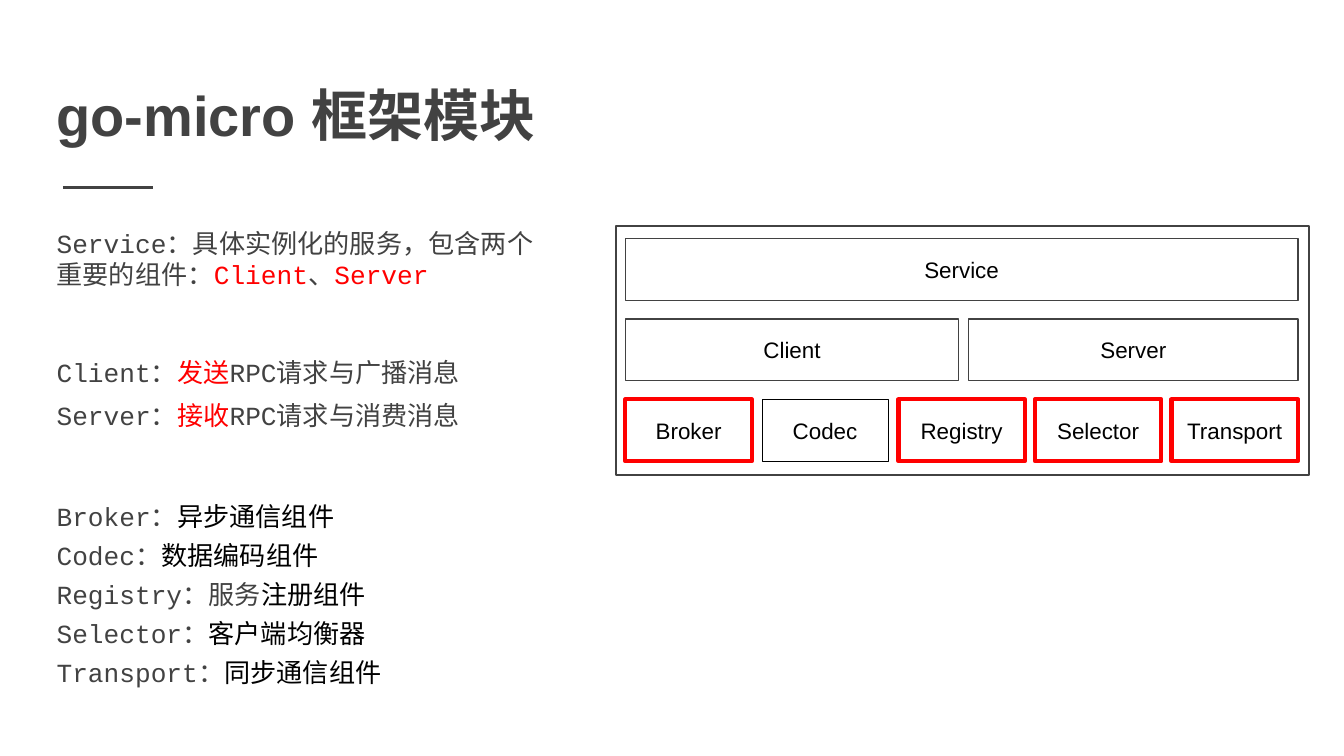
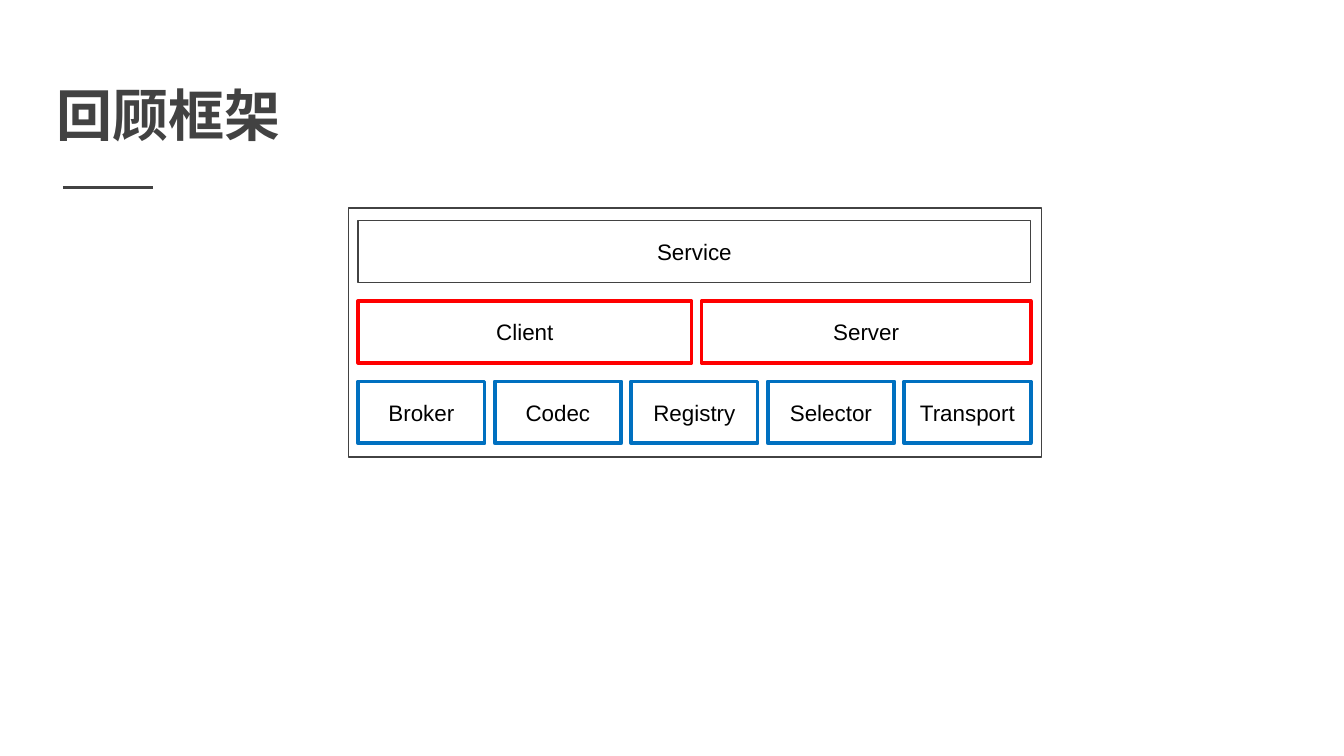
from dataclasses import dataclass

from lxml.etree import SubElement
from pptx import Presentation
from pptx.dml.color import RGBColor
from pptx.enum.shapes import MSO_CONNECTOR as Connector, MSO_SHAPE as Shape
from pptx.enum.text import MSO_ANCHOR as Anchor, MSO_AUTO_SIZE as AutoSize, PP_ALIGN as Align
from pptx.oxml.ns import qn
from pptx.util import Cm, Pt


@dataclass(frozen=True)
class Theme:
    ink: str = "424242"
    black: str = "000000"
    red: str = "FF0000"
    blue: str = "0070C0"
    sans: str = "Arial"
    mono: str = "Courier New"
    title_size: float = 30
    body_size: float = 14
    box_size: float = 12
    line_height: float = 16.6


THEME = Theme()
TITLE_LAYOUT, BODY_LAYOUT = 5, 1
LEFT = 1.07
GAP = 0.19
ROW_HEIGHT, ROW_PITCH = 1.17, 1.52
FRAME_SIZE = 13.1, 4.71
ROWS = [
    [("Service", 12.71)],
    [("Client", 6.3), ("Server", 6.22)],
    [(name, 2.39) for name in ("Broker", "Codec", "Registry", "Selector", "Transport")],
]
MODULES = [
    (0, [("Service：具体实例化的服务，包含两个重要的组件：", THEME.ink), ("Client", THEME.red),
         ("、", THEME.ink), ("Server", THEME.red)]),
    (36, [("Client：", THEME.ink), ("发送", THEME.red), ("RPC请求与广播消息", THEME.ink)]),
    (6.4, [("Server：", THEME.ink), ("接收", THEME.red), ("RPC请求与消费消息", THEME.ink)]),
    (37.5, [("Broker：", THEME.ink), ("异步通信组件", THEME.black)]),
    (4.3, [("Codec：", THEME.ink), ("数据编码组件", THEME.black)]),
    (4.3, [("Registry：服务", THEME.ink), ("注册组件", THEME.black)]),
    (4.3, [("Selector：", THEME.ink), ("客户端均衡器", THEME.black)]),
    (4.3, [("Transport：", THEME.ink), ("同步通信组件", THEME.black)]),
]


def add_text(p, text, size, color, font=THEME.sans, bold=False):
    r = p.add_run()
    r.text = text
    r.font.size = Pt(size)
    r.font.name = font
    r.font.bold = bold
    r.font.color.rgb = RGBColor.from_string(color)


class Deck:
    def __init__(self, theme):
        self.theme = theme
        self.prs = Presentation()
        self.prs.slide_width, self.prs.slide_height = Cm(25.4), Cm(14.29)
        self.s = None

    def slide(self, title, layout=TITLE_LAYOUT):
        self.s = self.prs.slides.add_slide(self.prs.slide_layouts[layout])
        tf = self.frame(self.s.shapes.title, LEFT, 1.5, 12.06, 1.35)
        p = tf.paragraphs[0]
        p.alignment = Align.LEFT
        p.space_before = Pt(1)
        add_text(p, title, self.theme.title_size, self.theme.ink, bold=True)
        self.rule(1.19, 3.54, 1.7)

    def frame(self, sp, x, y, w, h, anchor=Anchor.TOP):
        sp.left, sp.top, sp.width, sp.height = Cm(x), Cm(y), Cm(w), Cm(h)
        tf = sp.text_frame
        tf.word_wrap = True
        tf.auto_size = AutoSize.NONE
        tf.vertical_anchor = anchor
        tf.margin_left = tf.margin_right = tf.margin_bottom = 0
        tf.margin_top = Cm(0.03) if anchor == Anchor.TOP else 0
        return tf

    def rule(self, x, y, w):
        line = self.s.shapes.add_connector(Connector.STRAIGHT, Cm(x), Cm(y), Cm(x + w), Cm(y))
        line.line.color.rgb = RGBColor.from_string(self.theme.ink)
        line.line.width = Pt(1.5)
        SubElement(line._element.spPr, qn("a:effectLst"))

    def body(self, items, x, y, w, h):
        tf = self.frame(self.s.placeholders[1], x, y, w, h)
        for i, (gap, runs) in enumerate(items):
            p = tf.add_paragraph() if i else tf.paragraphs[0]
            p.line_spacing = Pt(self.theme.line_height)
            p.space_before = Pt(gap)
            p.space_after = Pt(0)
            pPr = p._p.get_or_add_pPr()
            pPr.set("marL", "0")
            pPr.set("indent", "0")
            SubElement(pPr, qn("a:buNone"))
            for text, color in runs:
                add_text(p, text, self.theme.body_size, color, font=self.theme.mono)

    def box(self, x, y, w, h, text="", color=THEME.ink, width=0.75):
        sp = self.s.shapes.add_shape(Shape.RECTANGLE, Cm(x), Cm(y), Cm(w), Cm(h))
        sp.shadow.inherit = False
        sp.fill.background()
        sp.line.color.rgb = RGBColor.from_string(color)
        sp.line.width = Pt(width)
        if text:
            p = self.frame(sp, x, y, w, h, Anchor.MIDDLE).paragraphs[0]
            p.alignment = Align.CENTER
            add_text(p, text, self.theme.box_size, self.theme.black)

    def architecture(self, x, y, outlines):
        self.box(x, y, *FRAME_SIZE)
        for i, row in enumerate(ROWS):
            left = x + 0.18
            for name, w in row:
                color, width = outlines.get(name, (self.theme.ink, 0.75))
                self.box(left, y + 0.24 + i * ROW_PITCH, w, ROW_HEIGHT, name, color, width)
                left += w + GAP


def main():
    deck = Deck(THEME)
    components = [name for name, _ in ROWS[2]]

    deck.slide("go-micro 框架模块", BODY_LAYOUT)
    deck.body(MODULES, LEFT, 4.27, 9.37, 8.8)
    outlines = dict.fromkeys(components, (THEME.red, 2.25))
    outlines["Codec"] = (THEME.black, 0.25)
    deck.architecture(11.64, 4.27, outlines)

    deck.slide("回顾框架")
    outlines = dict.fromkeys(components, (THEME.blue, 2))
    outlines.update(dict.fromkeys(("Client", "Server"), (THEME.red, 2)))
    deck.architecture(6.59, 3.93, outlines)

    deck.prs.save("out.pptx")


if __name__ == "__main__":
    main()
